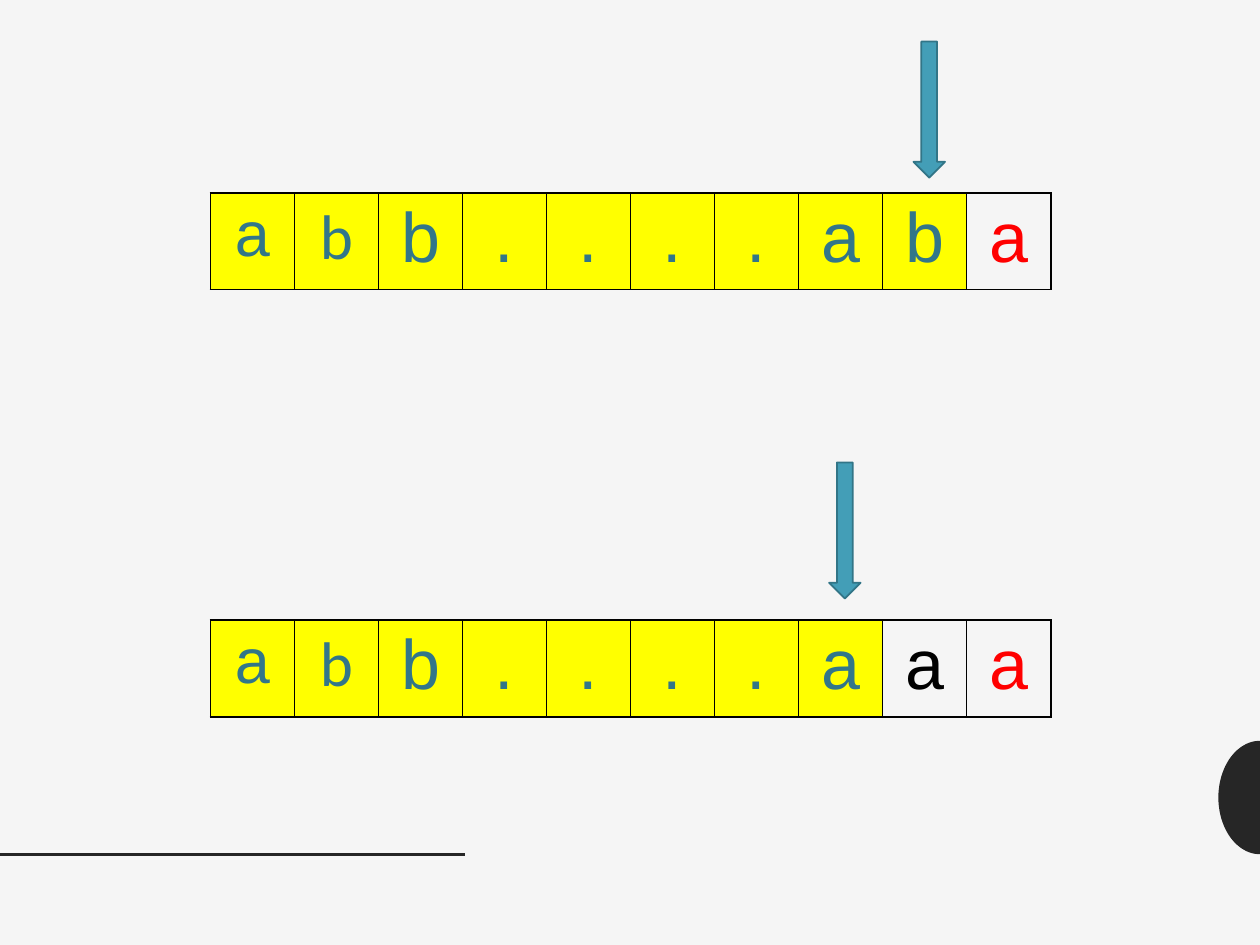
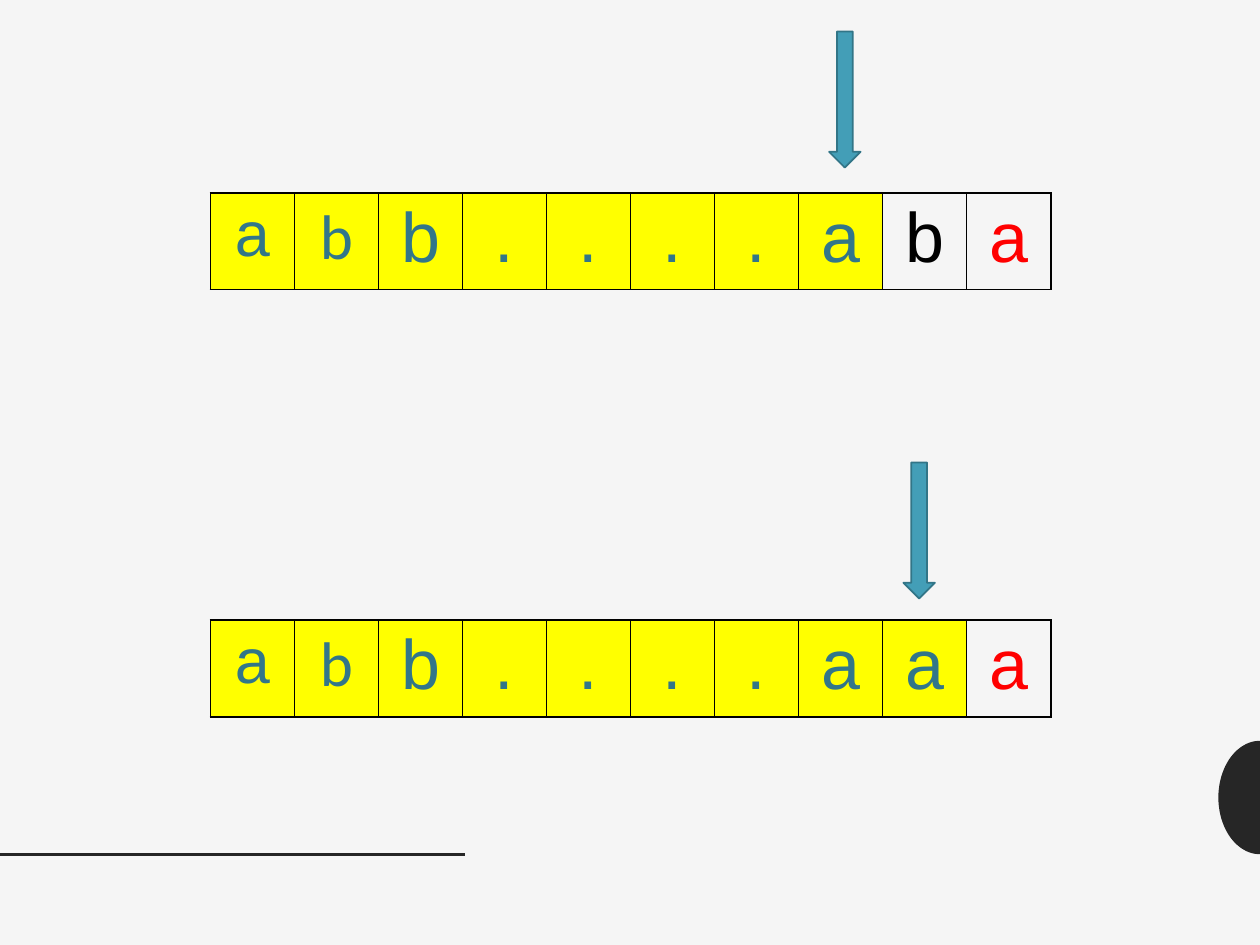
from math import cos, pi, sin

from lxml.etree import SubElement
from pptx import Presentation
from pptx.dml.color import RGBColor
from pptx.enum.shapes import MSO_CONNECTOR as Link, MSO_SHAPE as Shape
from pptx.enum.text import PP_ALIGN as Align
from pptx.oxml.ns import qn
from pptx.util import Inches, Pt

PAPER, DARK, BLACK, RED = "F5F5F5", "262626", "000000", "FF0000"
YELLOW, TEAL, BLUE, EDGE = "FFFF00", "327689", "439EB7", "327587"

LEFT, WIDTH, HEIGHT = 1.67, 6.67, 0.77
TOPS = (1.53, 4.92)
# Size and font of the first two letters; the rest are 40 pt Arial.
HEADS = {0: (36, "Arial"), 1: (36, "Calibri")}

# Per slide, one tape per row: letters, count of yellow cells, arrow left and top.
SLIDES = (
    (("abb....aba", 9, 7.25, 0.33), ("abb....aaa", 8, 6.58, 3.67)),
    (("abb....aba", 8, 6.58, 0.25), ("abb....aaa", 9, 7.17, 3.67)),
)


def color(code):
    """Turn a hex string into a colour."""
    return RGBColor.from_string(code)


def paint(item, code):
    """Fill a shape or cell with one plain colour."""
    item.fill.solid()
    item.fill.fore_color.rgb = color(code)


def write(frame, text, size=40, font="Arial", tint=TEAL, align=Align.CENTER):
    """Put one formatted line of text into a text frame."""
    para = frame.paragraphs[0]
    para.alignment = align
    run = para.add_run()
    run.text = text
    run.font.size = Pt(size)
    run.font.name = font
    run.font.color.rgb = color(tint)


def border(cell, code=BLACK, width=1):
    """Draw a line on all four sides of a cell."""
    props = cell._tc.get_or_add_tcPr()
    for side in ("lnL", "lnR", "lnT", "lnB"):
        line = SubElement(props, qn(f"a:{side}"), w=str(Pt(width)))
        fill = SubElement(line, qn("a:solidFill"))
        SubElement(fill, qn("a:srgbClr"), val=code)


def add_tape(slide, top, text, done):
    """Add a row of letters whose first cells are yellow."""
    count = len(text)
    table = slide.shapes.add_table(
        1, count, Inches(LEFT), Inches(top), Inches(WIDTH), Inches(HEIGHT)
    ).table
    table.first_row = table.horz_banding = False
    for i, char in enumerate(text):
        table.columns[i].width = Inches(WIDTH / count)
        cell = table.cell(0, i)
        border(cell)
        if i < done:
            paint(cell, YELLOW)
        else:
            cell.fill.background()
        size, font = HEADS.get(i, (40, "Arial"))
        tint = TEAL if i < done else RED if i == count - 1 else BLACK
        write(cell.text_frame, char, size=size, font=font, tint=tint)


def add_arrow(slide, left, top):
    """Add the arrow that points down at a cell."""
    arrow = slide.shapes.add_shape(
        Shape.DOWN_ARROW, Inches(left), Inches(top), Inches(0.25), Inches(1.08)
    )
    arrow.shadow.inherit = False
    paint(arrow, BLUE)
    arrow.line.color.rgb = color(EDGE)
    arrow.line.width = Pt(1)


def add_knob(slide):
    """Add the dark half oval at the right edge."""
    steps = 48
    angles = [pi * i / steps for i in range(steps + 1)]
    points = [
        (Inches(10 - 0.33 * sin(a)), Inches(6.33 - 0.45 * cos(a))) for a in angles
    ]
    pen = slide.shapes.build_freeform(*points[0])
    pen.add_line_segments(points[1:], close=True)
    knob = pen.convert_to_shape()
    knob.shadow.inherit = False
    paint(knob, DARK)
    knob.line.fill.background()
    return knob


def add_rule(slide):
    """Add the dark line at the lower left."""
    rule = slide.shapes.add_connector(
        Link.STRAIGHT, 0, Inches(6.78), Inches(3.69), Inches(6.78)
    )
    rule.line.color.rgb = color(DARK)
    rule.line.width = Pt(2)
    SubElement(rule.element.spPr, qn("a:effectLst"))
    return rule


def set_master(deck, slide):
    """Give the master its background and move the shared parts there."""
    master = deck.slide_master
    paint(master.background, PAPER)
    for number, part in enumerate((add_knob(slide), add_rule(slide)), 101):
        part.element.xpath(".//p:cNvPr")[0].set("id", str(number))
        master.shapes.element.append(part.element)


def main():
    """Build and save the deck."""
    deck = Presentation()
    deck.slide_width, deck.slide_height = Inches(10), Inches(7.5)
    blank = deck.slide_layouts[6]
    slides = [deck.slides.add_slide(blank) for _ in SLIDES]
    set_master(deck, slides[0])
    for slide, tapes in zip(slides, SLIDES):
        for top, (text, done, _, _) in zip(TOPS, tapes):
            add_tape(slide, top, text, done)
        for _, _, left, high in tapes:
            add_arrow(slide, left, high)
    deck.save("out.pptx")


main()
